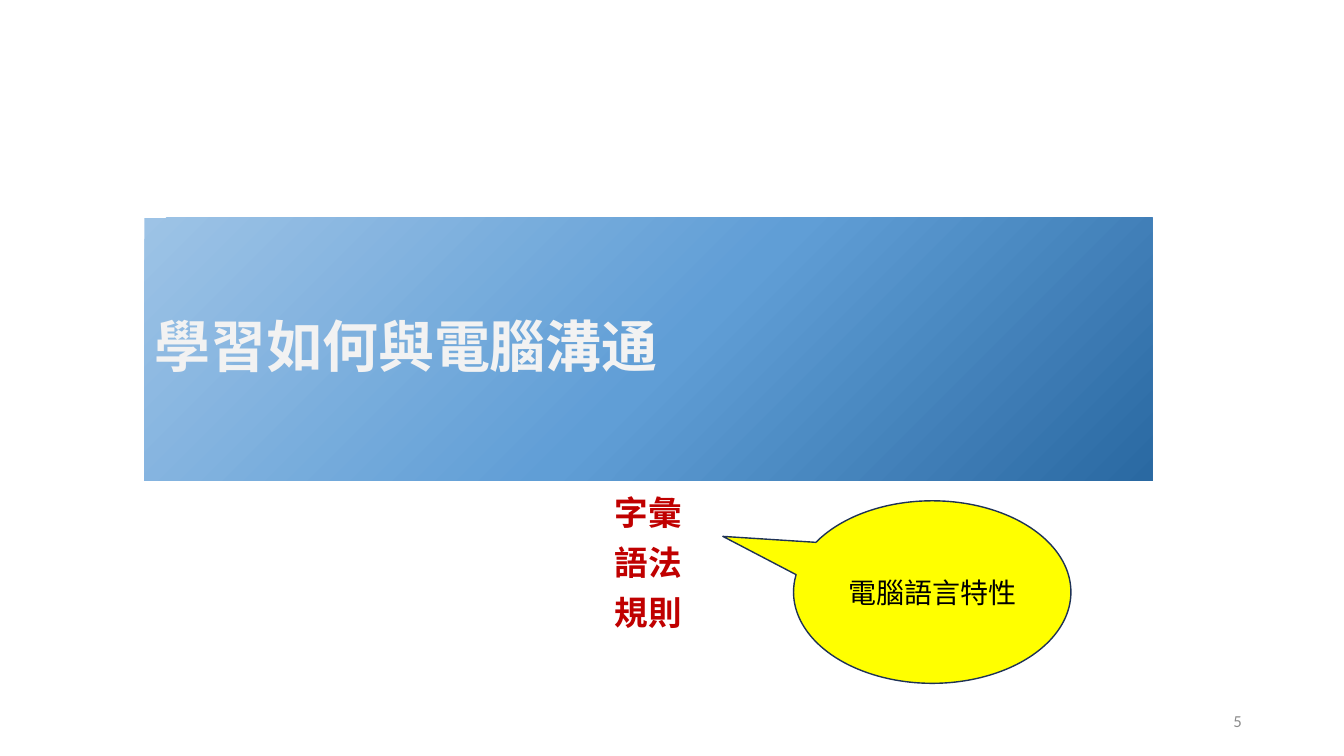
from pptx import Presentation
from pptx import util as u
from pptx.dml.color import RGBColor
from pptx.enum import shapes, text
from pptx.oxml import parse_xml
from pptx.oxml.ns import nsdecls

FONT = "Calibri"
OFF_WHITE = RGBColor(0xF2, 0xF2, 0xF2)
RED = RGBColor(0xC0, 0x00, 0x00)
YELLOW = RGBColor(0xFF, 0xFF, 0x00)
NAVY = RGBColor(0x1E, 0x32, 0x56)
BLACK = RGBColor(0x00, 0x00, 0x00)
GREY = RGBColor(0x8C, 0x8C, 0x8C)
BANNER_STOPS = [
    (0, RGBColor(0x2A, 0x69, 0xA2)),
    (48, RGBColor(0x60, 0x9E, 0xD6)),
    (100, RGBColor(0x9D, 0xC3, 0xE6)),
]


def place(sp, left, top, width, height):
    sp.left, sp.top = u.Cm(left), u.Cm(top)
    sp.width, sp.height = u.Cm(width), u.Cm(height)


def write(sp, content, size, color, bold=False, align=text.PP_ALIGN.CENTER,
          anchor=text.MSO_ANCHOR.MIDDLE, spacing=1.0, before=0):
    tf = sp.text_frame
    tf.word_wrap = True
    tf.auto_size = text.MSO_AUTO_SIZE.NONE
    tf.vertical_anchor = anchor
    tf.margin_left = tf.margin_right = u.Cm(0.25)
    tf.margin_top = tf.margin_bottom = u.Cm(0.13)
    for i, line in enumerate(content.split("\n")):
        p = tf.add_paragraph() if i else tf.paragraphs[0]
        p.alignment = align
        p.line_spacing = spacing
        p.space_before = u.Pt(before if i else 0)
        r = p.add_run()
        r.text = line
        r.font.name = FONT
        r.font.size = u.Pt(size)
        r.font.bold = bold
        r.font.color.rgb = color


def fill_from_corner(sp, stops):
    marks = "".join(
        f'<a:gs pos="{pos * 1000}"><a:srgbClr val="{color}"/></a:gs>'
        for pos, color in stops)
    sp._element.spPr.append(parse_xml(
        f'<a:gradFill {nsdecls("a")} rotWithShape="1"><a:gsLst>{marks}</a:gsLst>'
        '<a:path path="circle"><a:fillToRect l="100000" t="100000"/></a:path>'
        '</a:gradFill>'))


def add_callout(s, content):
    sp = s.shapes.add_shape(shapes.MSO_SHAPE.OVAL_CALLOUT, 0, 0, 0, 0)
    place(sp, 20, 12.62, 6.99, 4.6)
    sp.adjustments[0], sp.adjustments[1] = -0.755, -0.305
    sp.shadow.inherit = False
    sp.fill.solid()
    sp.fill.fore_color.rgb = YELLOW
    sp.line.color.rgb = NAVY
    sp.line.width = u.Pt(1)
    write(sp, content, 20, BLACK)


def add_page_number(s, number):
    sp = s.shapes.add_textbox(0, 0, 0, 0)
    place(sp, 23.93, 17.65, 7.62, 1.02)
    write(sp, number, 12, GREY, align=text.PP_ALIGN.RIGHT)


def main():
    prs = Presentation()
    prs.slide_width, prs.slide_height = u.Cm(33.87), u.Cm(19.05)
    s = prs.slides.add_slide(prs.slide_layouts[0])

    title = s.shapes.title
    place(title, 3.64, 5.49, 25.4, 6.63)
    fill_from_corner(title, BANNER_STOPS)
    write(title, "學習如何與電腦溝通", 40, OFF_WHITE, bold=True,
          align=text.PP_ALIGN.LEFT, spacing=0.9)

    subtitle = s.placeholders[1]
    place(subtitle, 3.64, 12.37, 25.4, 4.6)
    write(subtitle, "字彙\n語法\n規則", 24, RED, bold=True,
          anchor=text.MSO_ANCHOR.TOP, spacing=0.9, before=10)

    add_callout(s, "電腦語言特性")
    add_page_number(s, "5")
    prs.save("out.pptx")


if __name__ == "__main__":
    main()
